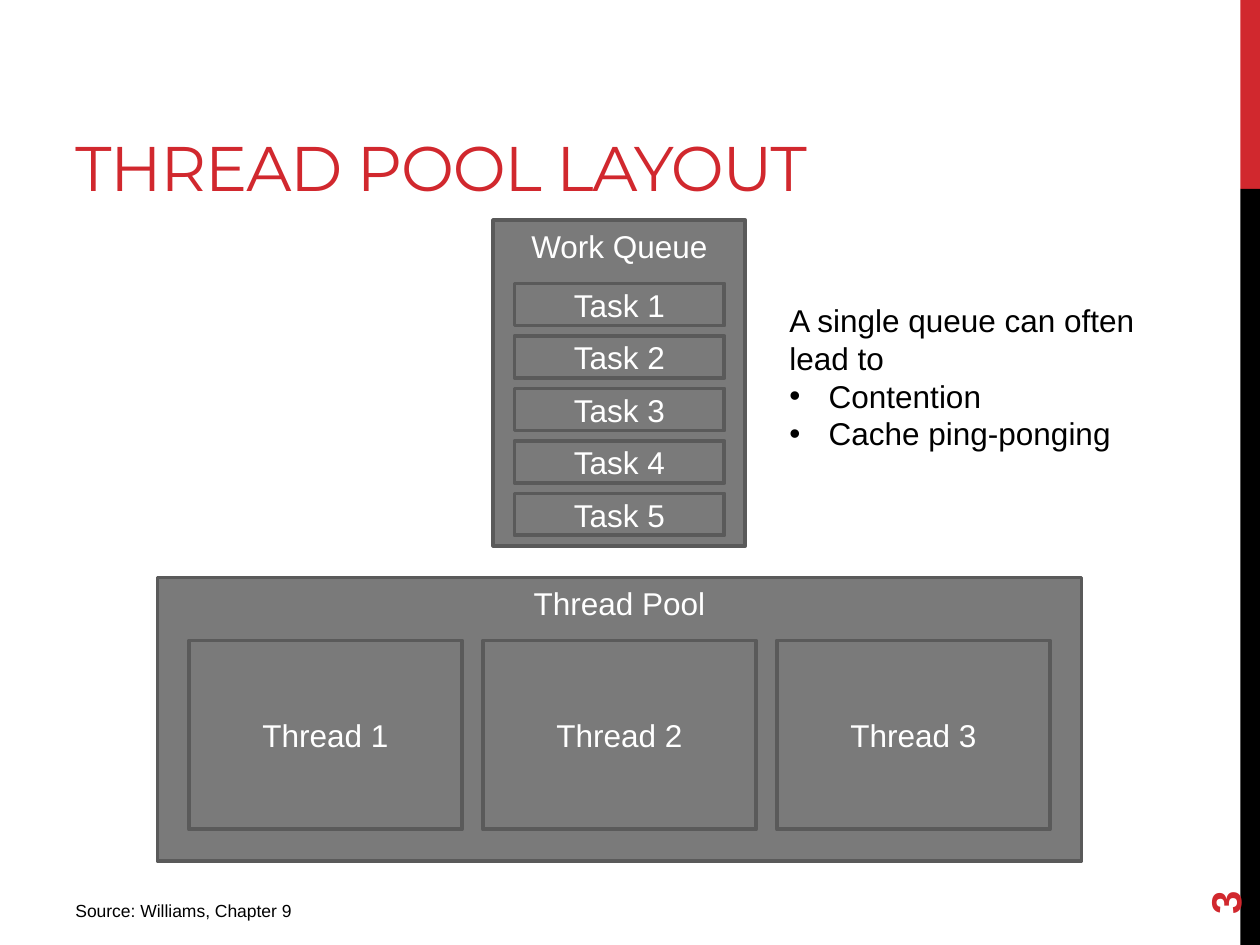
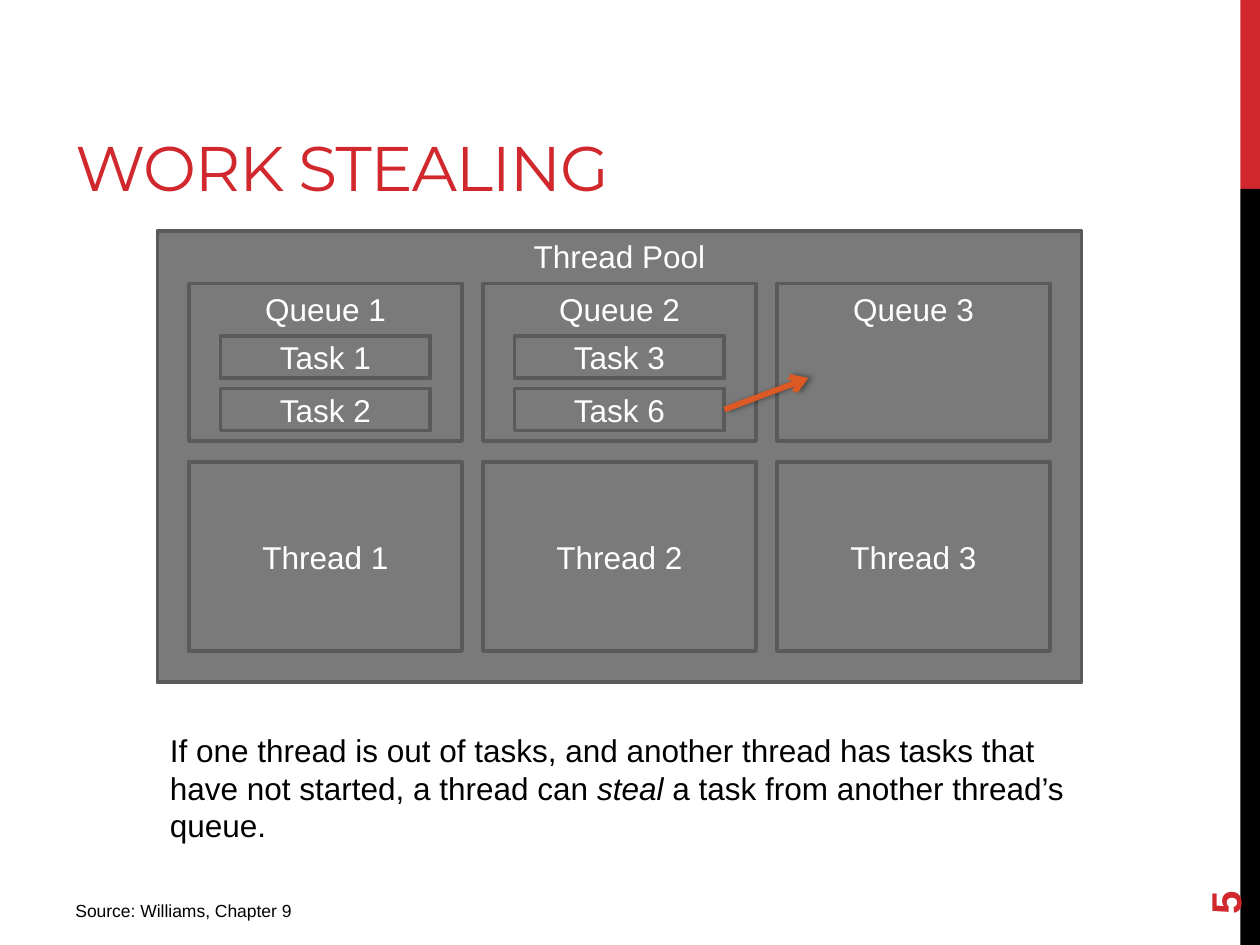
from dataclasses import dataclass

from lxml import etree
from pptx import Presentation
from pptx.dml.color import RGBColor
from pptx.enum.shapes import MSO_CONNECTOR, MSO_SHAPE
from pptx.enum.text import MSO_ANCHOR, MSO_AUTO_SIZE, PP_ALIGN
from pptx.oxml.ns import qn
from pptx.util import Pt

RECTANGLE = MSO_SHAPE.RECTANGLE
STRAIGHT = MSO_CONNECTOR.STRAIGHT
TOP, MIDDLE, BOTTOM = MSO_ANCHOR.TOP, MSO_ANCHOR.MIDDLE, MSO_ANCHOR.BOTTOM
CENTER = PP_ALIGN.CENTER
GROW = MSO_AUTO_SIZE.SHAPE_TO_FIT_TEXT

SLIDE_WIDTH, SLIDE_HEIGHT = 720, 540
BAND_LEFT, BAND_SPLIT = 708.75, 108
POOL_LEFT, POOL_WIDTH = 90, 528
COLUMN_LEFT, COLUMN_WIDTH, COLUMN_PITCH = 108, 156, 168
THREAD_HEIGHT, THREAD_COUNT = 108, 3
TASK_INDENT, TASK_WIDTH, TASK_HEIGHT, TASK_PITCH = 18, 120, 24, 30
BULLET_INDENT = 22.5


@dataclass(frozen=True)
class Theme:
    """Colours, fonts and sizes shared by the slides."""

    red: RGBColor = RGBColor(0xD1, 0x28, 0x2E)
    black: RGBColor = RGBColor(0, 0, 0)
    white: RGBColor = RGBColor(0xFF, 0xFF, 0xFF)
    box_fill: RGBColor = RGBColor(0x7A, 0x7A, 0x7A)
    box_line: RGBColor = RGBColor(0x5A, 0x5A, 0x5A)
    arrow: RGBColor = RGBColor(0xDC, 0x59, 0x24)
    title_font: str = "Montserrat"
    body_font: str = "Arial"
    title_size: float = 36
    number_size: float = 24
    body_size: float = 18
    source_size: float = 10
    box_line_width: float = 2.25
    arrow_width: float = 3.25


THEME = Theme()


def format_text(text_frame, color, size=THEME.body_size, font=THEME.body_font):
    """Give every run of a text frame one font, size and colour."""
    for paragraph in text_frame.paragraphs:
        for run in paragraph.runs:
            run.font.name = font
            run.font.size = Pt(size)
            run.font.color.rgb = color


def add_text(slide, bounds, text, anchor=TOP):
    """Add a wrapping text box and return it."""
    shape = slide.shapes.add_textbox(*map(Pt, bounds))
    text_frame = shape.text_frame
    text_frame.word_wrap = True
    text_frame.vertical_anchor = anchor
    text_frame.text = text
    return shape


def add_note(slide, bounds, text):
    """Add body text in a box that grows with it and return its frame."""
    text_frame = add_text(slide, bounds, text).text_frame
    text_frame.auto_size = GROW
    format_text(text_frame, THEME.black)
    return text_frame


def add_bullet(paragraph):
    """Turn a paragraph into a bullet with a hanging indent."""
    properties = paragraph._p.get_or_add_pPr()
    properties.set("marL", str(Pt(BULLET_INDENT)))
    properties.set("indent", str(-Pt(BULLET_INDENT)))
    etree.SubElement(properties, qn("a:buFont"), typeface=THEME.body_font)
    etree.SubElement(properties, qn("a:buChar"), char="\u2022")


def add_rectangle(slide, bounds, fill):
    """Add a filled rectangle without outline or shadow."""
    shape = slide.shapes.add_shape(RECTANGLE, *map(Pt, bounds))
    shape.shadow.inherit = False
    shape.fill.solid()
    shape.fill.fore_color.rgb = fill
    shape.line.fill.background()
    return shape


def add_box(slide, bounds, label, anchor=MIDDLE):
    """Add a labelled grey diagram box."""
    shape = add_rectangle(slide, bounds, THEME.box_fill)
    shape.line.color.rgb = THEME.box_line
    shape.line.width = Pt(THEME.box_line_width)
    text_frame = shape.text_frame
    text_frame.word_wrap = True
    text_frame.vertical_anchor = anchor
    text_frame.text = label
    text_frame.paragraphs[0].alignment = CENTER
    format_text(text_frame, THEME.white)


def add_tasks(slide, left, top, numbers):
    """Stack task boxes at equal steps."""
    for row, number in enumerate(numbers):
        bounds = (left, top + row * TASK_PITCH, TASK_WIDTH, TASK_HEIGHT)
        add_box(slide, bounds, f"Task {number}")


def column_left(column):
    """Return the left edge of a thread column."""
    return COLUMN_LEFT + column * COLUMN_PITCH


def add_thread_pool(slide, top, height, threads_top):
    """Add the pool box with its row of threads."""
    add_box(slide, (POOL_LEFT, top, POOL_WIDTH, height), "Thread Pool", TOP)
    for column in range(THREAD_COUNT):
        bounds = (column_left(column), threads_top, COLUMN_WIDTH, THREAD_HEIGHT)
        add_box(slide, bounds, f"Thread {column + 1}")


def add_arrow(slide, start, end):
    """Add an arrow with a soft shadow."""
    connector = slide.shapes.add_connector(STRAIGHT, *map(Pt, start + end))
    connector.line.color.rgb = THEME.arrow
    connector.line.width = Pt(THEME.arrow_width)
    properties = connector._element.spPr
    etree.SubElement(properties.find(qn("a:ln")), qn("a:tailEnd"), type="arrow")
    effects = etree.SubElement(properties, qn("a:effectLst"))
    shadow = etree.SubElement(
        effects, qn("a:outerShdw"), blurRad=str(Pt(3.1)), dist=str(Pt(1.8)), dir="0"
    )
    color = etree.SubElement(shadow, qn("a:srgbClr"), val=str(THEME.black))
    etree.SubElement(color, qn("a:alpha"), val="40000")


def add_base_slide(presentation, title, number):
    """Add a slide with bands, title, slide number and source."""
    slide = presentation.slides.add_slide(presentation.slide_layouts[6])
    band_width = SLIDE_WIDTH - BAND_LEFT
    add_rectangle(slide, (BAND_LEFT, 0, band_width, BAND_SPLIT), THEME.red)
    lower_band = (BAND_LEFT, BAND_SPLIT, band_width, SLIDE_HEIGHT - BAND_SPLIT)
    add_rectangle(slide, lower_band, THEME.black)

    title_frame = add_text(slide, (36, 12, 456, 108), title, BOTTOM).text_frame
    format_text(title_frame, THEME.red, THEME.title_size, THEME.title_font)
    title_frame.paragraphs[0].runs[0].font._element.set("spc", "-60")

    number_shape = add_text(slide, (648, 463.5, 103.5, 28.8), str(number), MIDDLE)
    number_shape.rotation = 270
    format_text(number_shape.text_frame, THEME.red, THEME.number_size)
    number_shape.text_frame.paragraphs[0].runs[0].font.bold = True

    source = add_text(slide, (36, 511, 270, 22), "Source: Williams, Chapter 9")
    format_text(source.text_frame, THEME.black, THEME.source_size)
    return slide


def build_layout_slide(presentation):
    """Build the slide with one shared work queue."""
    slide = add_base_slide(presentation, "THREAD POOL LAYOUT", 3)
    add_thread_pool(slide, 330, 162, 366)
    add_box(slide, (282, 126, 144, 186), "Work Queue", TOP)
    add_tasks(slide, column_left(1) + TASK_INDENT, 162, range(1, 6))
    lines = ("A single queue can often lead to", "Contention", "Cache ping-ponging")
    note = add_note(slide, (444, 168.5, 216, 94.5), "\n".join(lines))
    for paragraph in note.paragraphs[1:]:
        add_bullet(paragraph)


def build_stealing_slide(presentation):
    """Build the slide with one queue per thread."""
    slide = add_base_slide(presentation, "WORK STEALING", 5)
    add_thread_pool(slide, 132, 258, 264)
    for column, tasks in enumerate(((1, 2), (3, 6), ())):
        left = column_left(column)
        add_box(slide, (left, 162, COLUMN_WIDTH, 90), f"Queue {column + 1}", TOP)
        add_tasks(slide, left + TASK_INDENT, 192, tasks)
    add_arrow(slide, (414, 234), (462, 216))

    opening = (
        "If one thread is out of tasks, and another thread has tasks "
        "that have not started, a thread can "
    )
    note = add_note(slide, (POOL_LEFT, 414, POOL_WIDTH, 72.7), opening)
    paragraph = note.paragraphs[0]
    for text in ("steal", " a task from another thread\u2019s queue."):
        paragraph.add_run().text = text
    format_text(note, THEME.black)
    paragraph.runs[1].font.italic = True


def main():
    """Build and save the presentation."""
    presentation = Presentation()
    presentation.slide_width = Pt(SLIDE_WIDTH)
    presentation.slide_height = Pt(SLIDE_HEIGHT)
    build_layout_slide(presentation)
    build_stealing_slide(presentation)
    presentation.save("out.pptx")


main()
